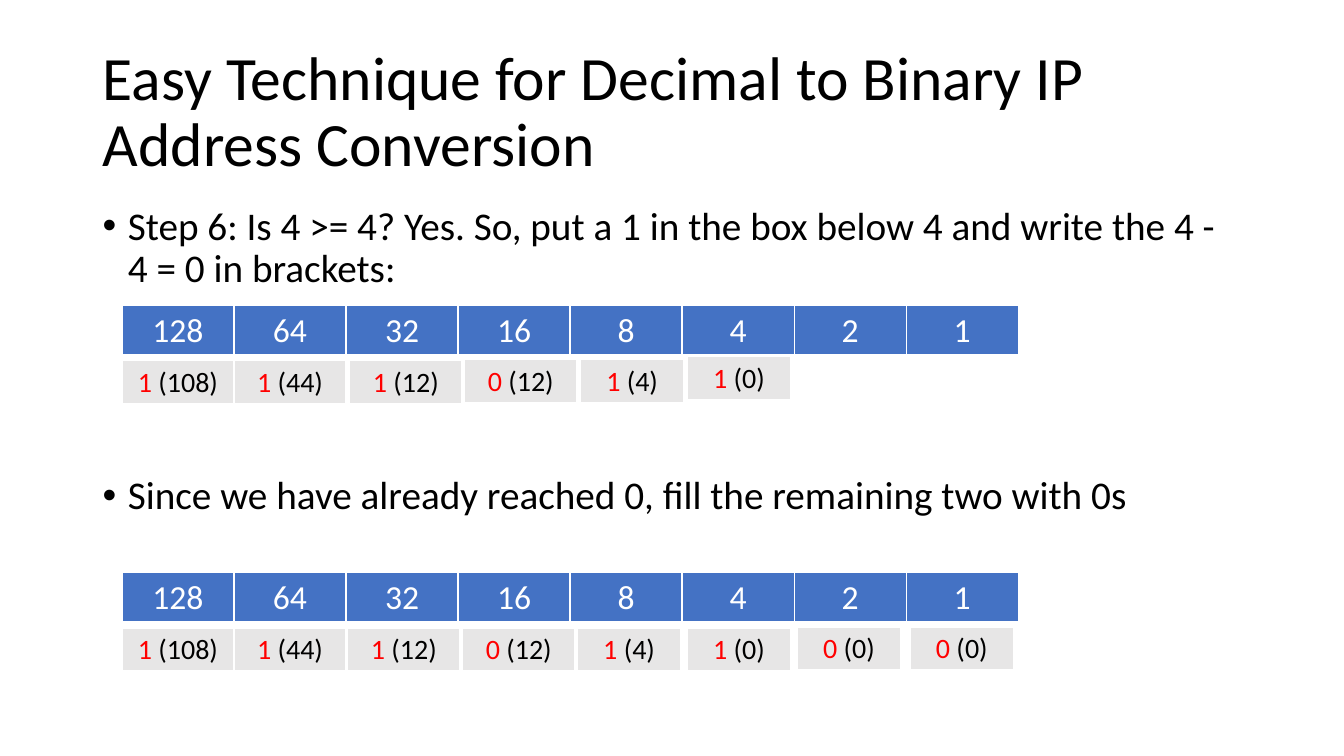
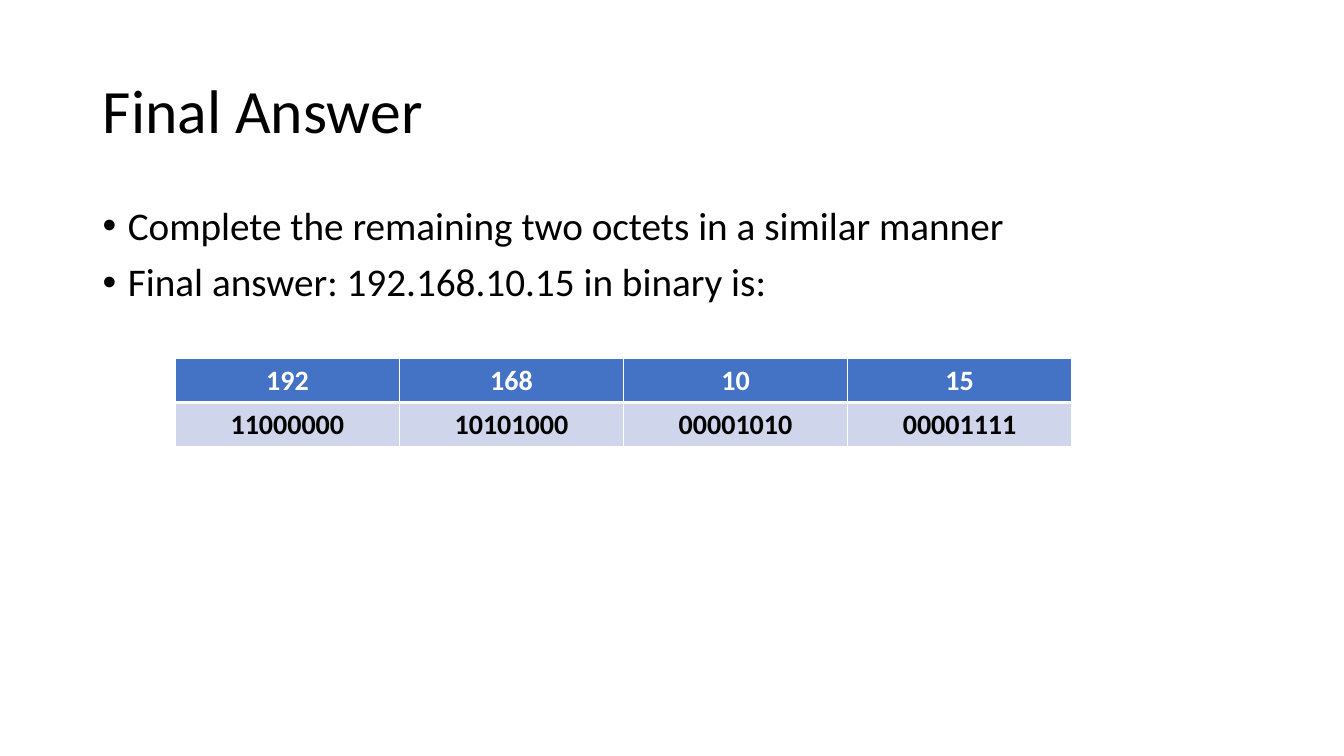
from lxml.etree import SubElement
from pptx import Presentation
from pptx.dml.color import RGBColor
from pptx.enum.text import MSO_ANCHOR, MSO_AUTO_SIZE, PP_ALIGN
from pptx.oxml.ns import qn
from pptx.util import Inches, Pt

BLACK = RGBColor(0, 0, 0)
WHITE = RGBColor(0xFF, 0xFF, 0xFF)
RED = RGBColor(0xFF, 0, 0)
BLUE = RGBColor(0x44, 0x72, 0xC4)
GREY = RGBColor(0xE7, 0xE6, 0xE6)
PALE = RGBColor(0xCF, 0xD5, 0xEA)
FONT = "Calibri"
LEFT, WIDTH = 0.92, 11.5
GRID = 8.89
WIDE, SLIM = GRID / 8, 1.02
BITS = ["128", "64", "32", "16", "8", "4", "2", "1"]


def style(font, size, color, bold=False):
    font.name = FONT
    font.size = Pt(size)
    font.bold = bold
    font.color.rgb = color


def add_title(slide, text):
    title = slide.shapes.title
    title.left, title.top = Inches(LEFT), Inches(0.4)
    title.width, title.height = Inches(WIDTH), Inches(1.45)
    frame = title.text_frame
    frame.text = text
    frame.auto_size = MSO_AUTO_SIZE.NONE
    frame.vertical_anchor = MSO_ANCHOR.MIDDLE
    para = frame.paragraphs[0]
    para.alignment = PP_ALIGN.LEFT
    para.line_spacing = 0.9
    style(para.runs[0].font, 44, BLACK)


def add_body(slide, lines, gap):
    box = slide.shapes.add_textbox(
        Inches(LEFT), Inches(2), Inches(WIDTH), Inches(4.76))
    frame = box.text_frame
    frame.word_wrap = True
    for i, line in enumerate(lines):
        para = frame.add_paragraph() if i else frame.paragraphs[0]
        para.text = line
        props = para._p.get_or_add_pPr()
        props.set("marL", str(Inches(0.25)))
        props.set("indent", str(-Inches(0.25)))
        SubElement(props, qn("a:buFont")).set("typeface", "Arial")
        SubElement(props, qn("a:buChar")).set("char", "•")
        para.line_spacing = 0.9
        if i:
            para.space_before = Pt(gap)
        style(para.runs[0].font, 28, BLACK)


def set_edges(cell, base):
    props = cell._tc.get_or_add_tcPr()
    for side, width in (("L", 1), ("R", 1), ("T", 1), ("B", base)):
        line = SubElement(props, qn(f"a:ln{side}"), w=str(Pt(width)))
        fill = SubElement(line, qn("a:solidFill"))
        SubElement(fill, qn("a:srgbClr"), val=str(WHITE))


def fill_cell(cell, text, fill, size, color, bold=False, base=3):
    set_edges(cell, base)
    cell.fill.solid()
    cell.fill.fore_color.rgb = fill
    cell.text = text
    para = cell.text_frame.paragraphs[0]
    para.alignment = PP_ALIGN.CENTER
    style(para.runs[0].font, size, color, bold)
    return para


def add_grid(slide, left, top, width, high, rows, cols):
    table = slide.shapes.add_table(
        rows, cols, Inches(left), Inches(top),
        Inches(width), Inches(high * rows)).table
    for col in table.columns:
        col.width = Inches(width / cols)
    for row in table.rows:
        row.height = Inches(high)
    return table


def add_bits(slide, left, top, marks):
    head = add_grid(slide, left, top, GRID, 0.5, 1, len(BITS))
    for i, bit in enumerate(BITS):
        fill_cell(head.cell(0, i), bit, BLUE, 24, WHITE)
    for i, (digit, rest, dx, dy) in enumerate(marks):
        width = WIDE if i < 4 else SLIM
        mark = add_grid(slide, left + dx, top + dy, width, 0.43, 1, 1)
        para = fill_cell(mark.cell(0, 0), digit, GREY, 20, RED)
        run = para.add_run()
        run.text = f" ({rest})"
        style(run.font, 20, BLACK)


def add_octets(slide, left, top, pairs):
    table = add_grid(slide, left, top, GRID, 0.435, 2, len(pairs))
    for i, (number, binary) in enumerate(pairs):
        fill_cell(table.cell(0, i), number, BLUE, 20, WHITE, True)
        fill_cell(table.cell(1, i), binary, PALE, 20, BLACK, True, 1)


def add_steps(slide):
    add_title(slide, "Easy Technique for Decimal to Binary IP Address Conversion")
    add_body(slide, [
        "Step 6: Is 4 >= 4? Yes. So, put a 1 in the box below 4 and write the 4 - 4 = 0 in brackets:",
        "Since we have already reached 0, fill the remaining two with 0s",
    ], 132)
    add_bits(slide, 1.21, 3.03, [
        ("1", 108, 0, 0.55), ("1", 44, WIDE, 0.55),
        ("1", 12, 2.26, 0.55), ("0", 12, 3.4, 0.54),
        ("1", 4, 4.55, 0.54), ("1", 0, 5.61, 0.51),
    ])
    add_bits(slide, 1.21, 5.68, [
        ("1", 108, 0, 0.55), ("1", 44, WIDE, 0.55),
        ("1", 12, 2.24, 0.55), ("0", 12, 3.38, 0.55),
        ("1", 4, 4.52, 0.55), ("1", 0, 5.61, 0.55),
        ("0", 0, 6.7, 0.54), ("0", 0, 7.82, 0.54),
    ])


def add_answer(slide):
    add_title(slide, "Final Answer")
    add_body(slide, [
        "Complete the remaining two octets in a similar manner",
        "Final answer: 192.168.10.15 in binary is:",
    ], 10)
    add_octets(slide, 1.74, 3.56, [
        (str(octet), f"{octet:08b}") for octet in (192, 168, 10, 15)
    ])


def main():
    deck = Presentation()
    deck.slide_width, deck.slide_height = Inches(13.33), Inches(7.5)
    for build in (add_steps, add_answer):
        build(deck.slides.add_slide(deck.slide_layouts[5]))
    deck.save("out.pptx")


if __name__ == "__main__":
    main()
